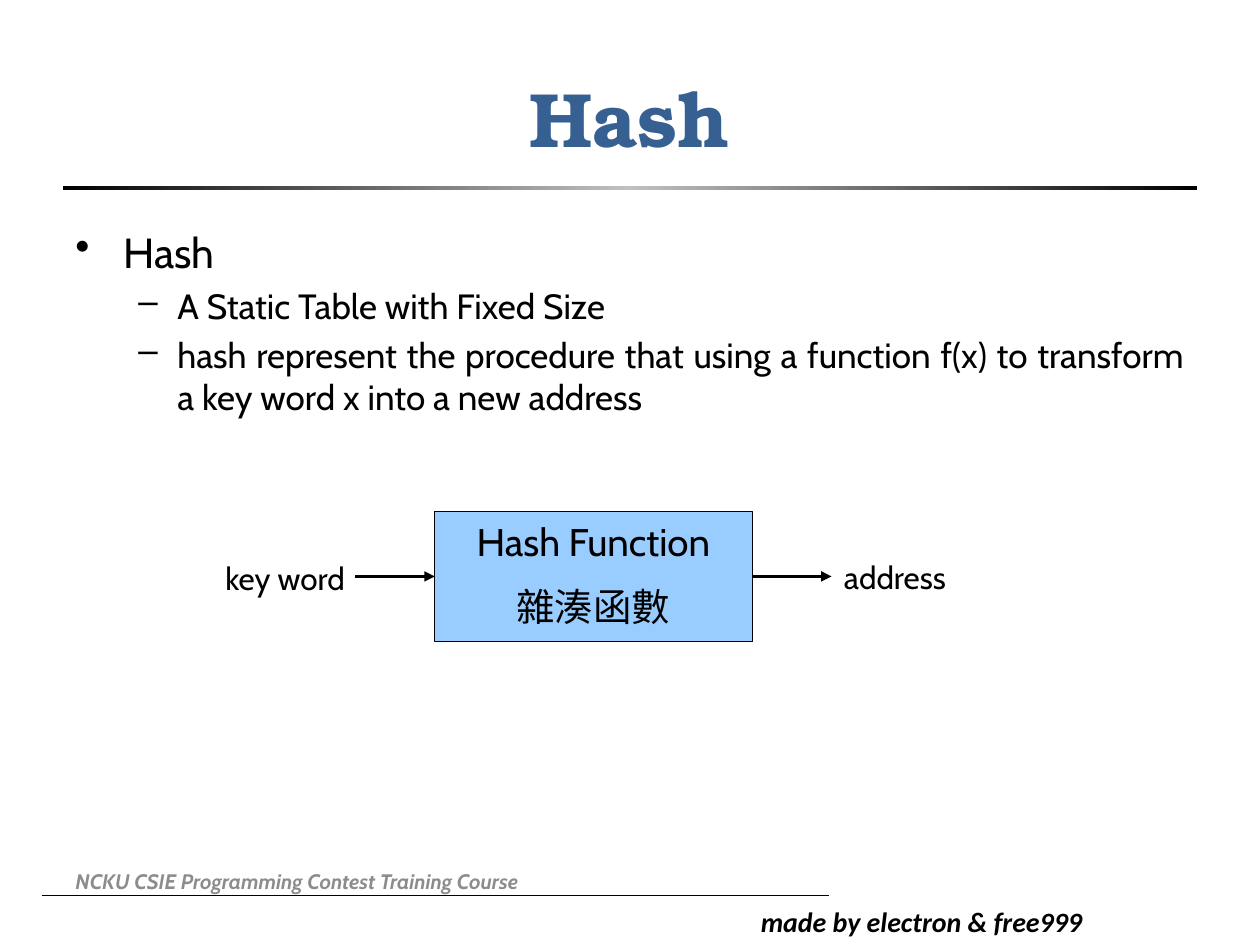
from copy import deepcopy
from dataclasses import dataclass

from lxml.etree import SubElement
from pptx import Presentation
from pptx.dml.color import RGBColor
from pptx.enum.shapes import MSO_CONNECTOR, MSO_SHAPE
from pptx.enum.text import MSO_ANCHOR, PP_ALIGN
from pptx.oxml.ns import qn
from pptx.util import Inches, Pt

BLACK = "000000"
RIGHT_SIDE, LEFT_SIDE = 3, 1


@dataclass
class Style:
    size: float
    font: str = "Cabin"
    color: str = BLACK
    bold: bool = False
    italic: bool = False
    align: PP_ALIGN = PP_ALIGN.LEFT


@dataclass
class Label:
    text: str
    left: float
    top: float
    width: float
    height: float
    style: Style
    anchor: MSO_ANCHOR = MSO_ANCHOR.TOP


@dataclass
class Level:
    bullet: str
    margin: float
    hanging: float
    style: Style


@dataclass
class Point:
    text: str
    level: int


LEVELS = [
    Level("•", 0.38, 0.38, Style(24, align=PP_ALIGN.JUSTIFY)),
    Level("–", 0.81, 0.31, Style(20, align=PP_ALIGN.JUSTIFY)),
]
POINTS = [
    Point("Hash", 0),
    Point("A Static Table with Fixed Size", 1),
    Point("hash represent the procedure that using a function f(x) "
          "to transform a key word x into a new address", 1),
]
LABELS = [
    Label("made by electron & free999", 5.94, 7.13, 3.07, 0.37,
          Style(16, "Calibri", bold=True, italic=True)),
    Label("Hash", 0.5, 0.3, 9, 1.25,
          Style(44, "TeX Gyre Bonum", "376092", bold=True, align=PP_ALIGN.CENTER),
          MSO_ANCHOR.MIDDLE),
    Label("NCKU CSIE Programming Contest Training Course", 0.5, 6.79, 4.66, 0.4,
          Style(12, color="8C8C8C", bold=True, italic=True), MSO_ANCHOR.MIDDLE),
    Label("key word", 1.69, 4.39, 1.26, 0.4, Style(18)),
    Label("address", 6.6, 4.38, 1.34, 0.4, Style(18)),
]


def rgb(color: str) -> RGBColor:
    return RGBColor.from_string(color)


def format_paragraph(paragraph, style: Style) -> None:
    paragraph.alignment = style.align
    for run in paragraph.runs:
        font = run.font
        font.size, font.name = Pt(style.size), style.font
        font.bold, font.italic = style.bold, style.italic
        font.color.rgb = rgb(style.color)


def add_label(slide, label: Label) -> None:
    box = slide.shapes.add_textbox(Inches(label.left), Inches(label.top),
                                   Inches(label.width), Inches(label.height))
    frame = box.text_frame
    frame.word_wrap = True
    frame.vertical_anchor = label.anchor
    frame.text = label.text
    format_paragraph(frame.paragraphs[0], label.style)


def add_points(slide, points: list[Point]) -> None:
    body = slide.shapes.add_textbox(Inches(0.5), Inches(1.75), Inches(9), Inches(4.97))
    frame = body.text_frame
    frame.word_wrap = True
    frame.text = "\n".join(point.text for point in points)
    for index, (paragraph, point) in enumerate(zip(frame.paragraphs, points)):
        level = LEVELS[point.level]
        paragraph.level = point.level
        if index:
            paragraph.space_before = Pt(level.style.size * 0.2)
        properties = paragraph._p.get_or_add_pPr()
        properties.set("marL", str(Inches(level.margin)))
        properties.set("indent", str(-Inches(level.hanging)))
        SubElement(properties, qn("a:buChar"), char=level.bullet)
        format_paragraph(paragraph, level.style)


def add_divider(slide) -> None:
    """Draw the rule under the title, fading from black to grey and back."""
    divider = slide.shapes.add_shape(MSO_SHAPE.RECTANGLE, Inches(0.5), Inches(1.48),
                                     Inches(9), Inches(0.03))
    divider.shadow.inherit = False
    divider.line.fill.background()
    divider.fill.gradient()
    divider.fill.gradient_angle = 0
    stop_list = divider._element.spPr.find(".//" + qn("a:gsLst"))
    stop_list.insert(1, deepcopy(stop_list[0]))
    stops = zip(divider.fill.gradient_stops, (0, 0.5, 1), (BLACK, "C0C0C0", BLACK))
    for stop, position, color in stops:
        stop.position = position
        stop.color.rgb = rgb(color)


def add_line(slide, start: float, end: float, y: float, weight: float, arrow: bool = False):
    line = slide.shapes.add_connector(MSO_CONNECTOR.STRAIGHT, Inches(start), Inches(y),
                                      Inches(end), Inches(y))
    line.line.color.rgb = rgb(BLACK)
    line.line.width = Pt(weight)
    if arrow:
        SubElement(line.line._get_or_add_ln(), qn("a:tailEnd"), type="triangle")
    SubElement(line._element.spPr, qn("a:effectLst"))
    return line


def add_hash_function(slide) -> None:
    """Draw the function box with its input and output arrows."""
    left, top, width, height, reach = 3.45, 4.06, 2.52, 1.03, 0.63
    function_box = slide.shapes.add_shape(MSO_SHAPE.RECTANGLE, Inches(left), Inches(top),
                                          Inches(width), Inches(height))
    function_box.shadow.inherit = False
    function_box.fill.solid()
    function_box.fill.fore_color.rgb = rgb("99CCFF")
    function_box.line.color.rgb = rgb(BLACK)
    function_box.line.width = Pt(0.75)
    frame = function_box.text_frame
    frame.word_wrap = True
    frame.vertical_anchor = MSO_ANCHOR.TOP
    frame.text = "Hash Function\n雜湊函數"
    for paragraph in frame.paragraphs:
        format_paragraph(paragraph, Style(22, align=PP_ALIGN.CENTER))
    frame.paragraphs[1].space_before = Pt(11)

    middle, right = top + height / 2, left + width
    key_arrow = add_line(slide, left - reach, left, middle, 1.5, arrow=True)
    key_arrow.end_connect(function_box, LEFT_SIDE)
    address_arrow = add_line(slide, right, right + reach, middle, 1.5, arrow=True)
    address_arrow.begin_connect(function_box, RIGHT_SIDE)


def main() -> None:
    presentation = Presentation()
    presentation.slide_width, presentation.slide_height = Inches(10), Inches(7.5)
    slide = presentation.slides.add_slide(presentation.slide_layouts[6])
    add_line(slide, 0.33, 6.58, 7.11, 0.5)
    add_divider(slide)
    add_points(slide, POINTS)
    add_hash_function(slide)
    for label in LABELS:
        add_label(slide, label)
    presentation.save("out.pptx")


if __name__ == "__main__":
    main()
